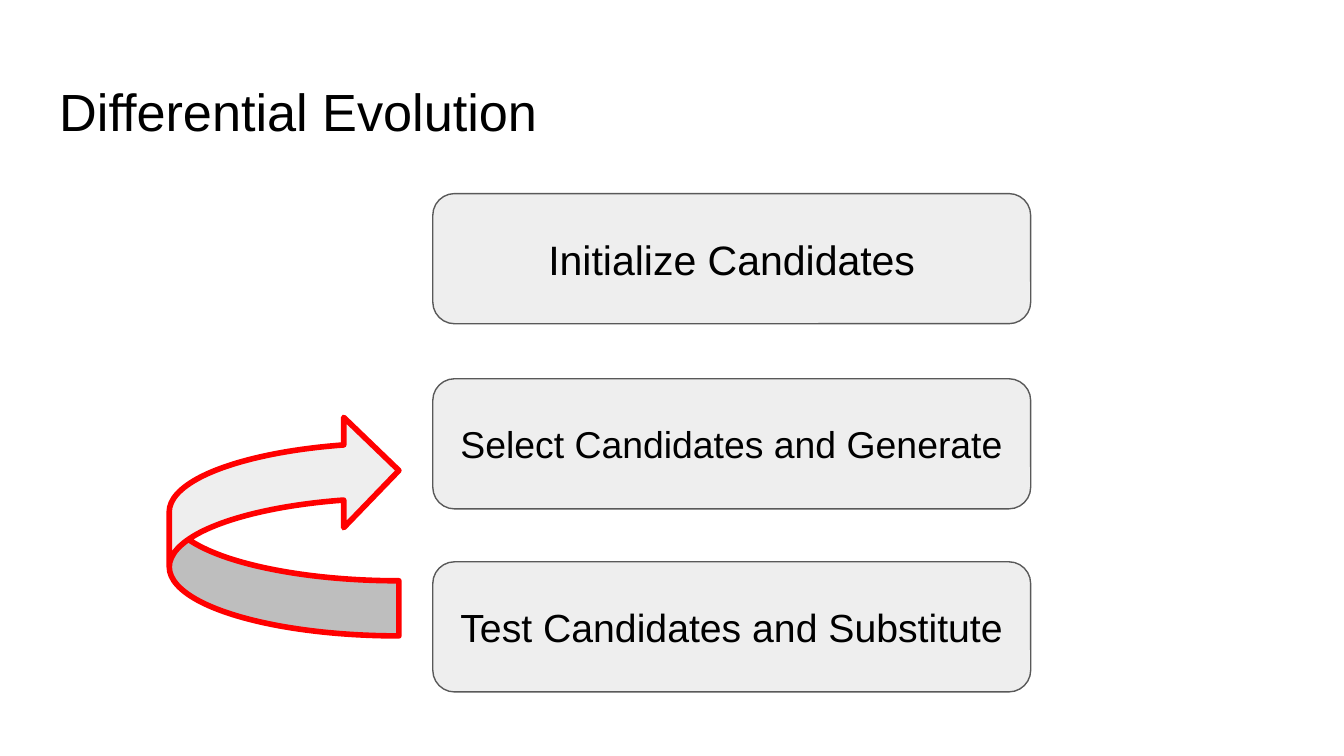
from lxml import etree
from pptx import Presentation
from pptx.dml.color import RGBColor
from pptx.enum.shapes import MSO_SHAPE
from pptx.enum.text import MSO_ANCHOR, PP_ALIGN
from pptx.util import Cm, Pt

ROUNDED = MSO_SHAPE.ROUNDED_RECTANGLE
CURVED_ARROW = MSO_SHAPE.CURVED_RIGHT_ARROW
TOP, MIDDLE = MSO_ANCHOR.TOP, MSO_ANCHOR.MIDDLE
LEFT, CENTER = PP_ALIGN.LEFT, PP_ALIGN.CENTER
INSET = Cm(0.25)


def color(hex_code):
    return RGBColor.from_string(hex_code)


def write_text(shape, text, size, font="Arial", ink="000000", align=LEFT, anchor=TOP):
    frame = shape.text_frame
    frame.word_wrap = True
    frame.vertical_anchor = anchor
    frame.margin_left = frame.margin_right = INSET
    frame.margin_top = frame.margin_bottom = INSET
    para = frame.paragraphs[0]
    para.alignment = align
    span = para.add_run()
    span.text = text
    span.font.name = font
    span.font.size = Pt(size)
    span.font.color.rgb = color(ink)


class SlideBuilder:
    fill = "EEEEEE"
    outline = "595959"
    accent = "FF0000"

    def __init__(self, deck):
        self.page = deck.slides.add_slide(deck.slide_layouts[6])

    def title(self, text, left, top, width, height):
        box = self.page.shapes.add_textbox(Cm(left), Cm(top), Cm(width), Cm(height))
        write_text(box, text, 28)

    def shape(self, kind, left, top, width, height, line, weight):
        shape = self.page.shapes.add_shape(kind, Cm(left), Cm(top), Cm(width), Cm(height))
        shape.shadow.inherit = False
        shape.fill.solid()
        shape.fill.fore_color.rgb = color(self.fill)
        shape.line.color.rgb = color(line)
        shape.line.width = Pt(weight)
        return shape

    def step(self, text, size, left, top, width, height):
        box = self.shape(ROUNDED, left, top, width, height, self.outline, 0.75)
        write_text(box, text, size, align=CENTER, anchor=MIDDLE)

    def loop_arrow(self, left, top, width, height):
        arrow = self.shape(CURVED_ARROW, left, top, width, height, self.accent, 3)
        for index, value in enumerate((0.25, 0.5, 0.25)):
            arrow.adjustments[index] = value
        # A half turn and a mirror make the arrow point upwards
        arrow.rotation = 180
        arrow.element.spPr.xfrm.set("flipH", "1")


def main():
    deck = Presentation()
    deck.slide_width, deck.slide_height = Cm(25.4), Cm(14.29)
    slide = SlideBuilder(deck)

    # Heading
    slide.title("Differential Evolution", 0.87, 1.24, 23.67, 1.6)

    # Steps of the algorithm
    steps = [
        ("Initialize Candidates", 22, 3.66),
        ("Select Candidates and Generate", 20, 7.16),
        ("Test Candidates and Substitute", 21, 10.62),
    ]
    for text, size, top in steps:
        slide.step(text, size, 8.18, top, 11.3, 2.46)

    # Loop from the last step back to the second
    slide.loop_arrow(3.2, 7.85, 4.34, 4.17)

    deck.save("out.pptx")


if __name__ == "__main__":
    main()
